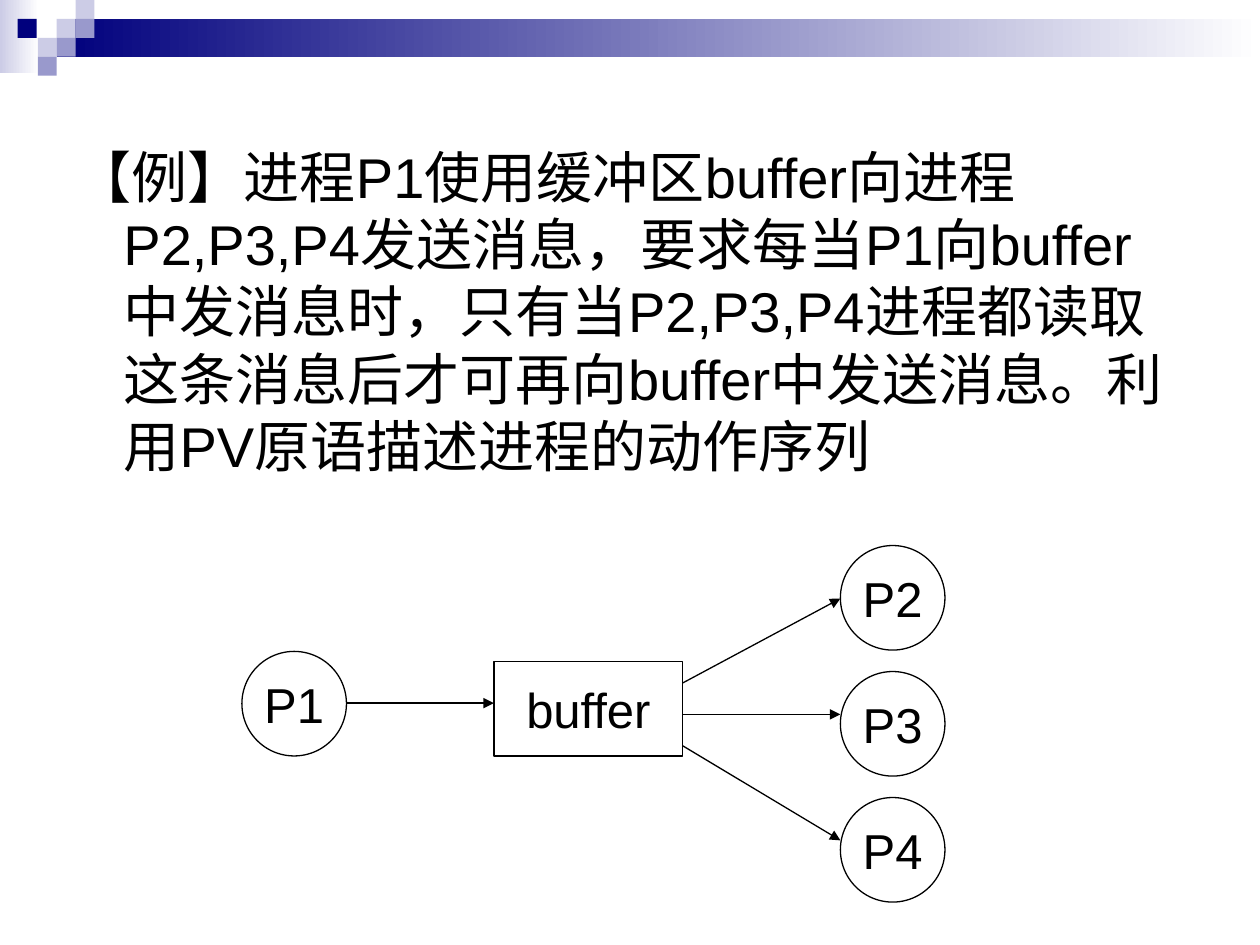
from dataclasses import dataclass

from lxml import etree
from pptx import Presentation
from pptx.dml.color import RGBColor
from pptx.enum.shapes import MSO_CONNECTOR, MSO_SHAPE
from pptx.enum.text import MSO_ANCHOR, MSO_AUTO_SIZE, PP_ALIGN
from pptx.oxml.ns import qn
from pptx.util import Inches, Pt

RECT, OVAL = MSO_SHAPE.RECTANGLE, MSO_SHAPE.OVAL
STRAIGHT = MSO_CONNECTOR.STRAIGHT
MIDDLE, CENTER = MSO_ANCHOR.MIDDLE, PP_ALIGN.CENTER
NO_AUTOFIT = MSO_AUTO_SIZE.NONE

COLORS = {
    "navy": "00007D",
    "violet": "9999CC",
    "lavender": "CCCCE6",
    "white": "FFFFFF",
    "black": "000000",
}
FONT = "Arial"
TILE = 0.15
CIRCLE = 0.83
EXERCISE = (
    "【例】进程P1使用缓冲区buffer向进程P2,P3,P4发送消息，要求每当P1向buffer中发消息时，"
    "只有当P2,P3,P4进程都读取这条消息后才可再向buffer中发送消息。利用PV原语描述进程的动作序列"
)


@dataclass(frozen=True)
class Band:
    """A decorative rectangle; fades to white on the right if asked."""
    left: float
    top: float
    width: float
    height: float
    color: str
    fades: bool = False


@dataclass(frozen=True)
class Node:
    label: str
    left: float
    top: float
    width: float = CIRCLE
    height: float = CIRCLE
    kind: MSO_SHAPE = OVAL


@dataclass(frozen=True)
class Arrow:
    x1: float
    y1: float
    x2: float
    y2: float


def tile(left: float, top: float, color: str) -> Band:
    return Band(left, top, TILE, TILE, color)


BANDS = [
    Band(0, 0, 0.31, 0.58, "lavender", fades=True),
    Band(0.45, 0.15, 9.55, 0.3, "navy", fades=True),
    tile(0.45, 0.15, "lavender"),
    tile(0.6, 0, "lavender"),
    tile(0.6, 0.15, "violet"),
    tile(0.3, 0.3, "lavender"),
    tile(0.14, 0.15, "navy"),
    tile(0.45, 0.3, "violet"),
    tile(0.3, 0.45, "violet"),
]
READERS_LEFT = 6.67
BUFFER = Node("buffer", 3.92, 5.25, 1.5, 0.75, RECT)
BUFFER_RIGHT = BUFFER.left + BUFFER.width
SENDER = Node("P1", 1.92, 5.17)
READERS = [Node(f"P{i + 2}", READERS_LEFT, 4.33 + i) for i in range(3)]
ARROWS = [Arrow(SENDER.left + CIRCLE, 5.58, BUFFER.left, 5.58)] + [
    Arrow(BUFFER_RIGHT, start, READERS_LEFT, end)
    for start, end in [(5.42, 4.75), (5.67, 5.67), (5.92, 6.67)]
]


def rgb(name: str) -> RGBColor:
    return RGBColor.from_string(COLORS[name])


def add_box(slide, kind: MSO_SHAPE, item: Band | Node):
    shape = slide.shapes.add_shape(
        kind, Inches(item.left), Inches(item.top), Inches(item.width), Inches(item.height)
    )
    shape.shadow.inherit = False
    return shape


def format_text(paragraph, size: int) -> None:
    for run in paragraph.runs:
        run.font.size = Pt(size)
        run.font.name = FONT
        run.font.color.rgb = rgb("black")


def add_band(slide, band: Band) -> None:
    shape = add_box(slide, RECT, band)
    shape.line.fill.background()
    if not band.fades:
        shape.fill.solid()
        shape.fill.fore_color.rgb = rgb(band.color)
        return
    shape.fill.gradient()
    shape.fill.gradient_angle = 0
    for stop, position, color in zip(shape.fill.gradient_stops, (0, 1), (band.color, "white")):
        stop.position = position
        stop.color.rgb = rgb(color)


def add_node(slide, node: Node) -> None:
    shape = add_box(slide, node.kind, node)
    shape.fill.background()
    shape.line.color.rgb = rgb("black")
    shape.line.width = Pt(0.75)
    frame = shape.text_frame
    frame.text = node.label
    frame.word_wrap = False
    frame.vertical_anchor = MIDDLE
    frame.paragraphs[0].alignment = CENTER
    format_text(frame.paragraphs[0], 28)


def add_arrow(slide, arrow: Arrow) -> None:
    connector = slide.shapes.add_connector(
        STRAIGHT, Inches(arrow.x1), Inches(arrow.y1), Inches(arrow.x2), Inches(arrow.y2)
    )
    connector.line.color.rgb = rgb("black")
    connector.line.width = Pt(0.75)
    etree.SubElement(connector.line._get_or_add_ln(), qn("a:tailEnd"), type="triangle")
    etree.SubElement(connector._element.spPr, qn("a:effectLst"))


def fill_body(body) -> None:
    """Set the exercise text with a hanging indent and no bullet."""
    body.left, body.top = Inches(0.5), Inches(1.08)
    body.width, body.height = Inches(9), Inches(5.33)
    frame = body.text_frame
    frame.text = EXERCISE
    frame.auto_size = NO_AUTOFIT
    paragraph = frame.paragraphs[0]
    paragraph.space_before = Pt(8)
    properties = paragraph._p.get_or_add_pPr()
    properties.set("marL", str(Inches(0.38)))
    properties.set("indent", str(Inches(-0.38)))
    etree.SubElement(properties, qn("a:buNone"))
    format_text(paragraph, 32)


def main() -> None:
    deck = Presentation()
    deck.slide_width, deck.slide_height = Inches(10), Inches(7.5)
    slide = deck.slides.add_slide(deck.slide_layouts[1])
    title = slide.shapes.title
    title._element.getparent().remove(title._element)
    fill_body(slide.placeholders[1])
    for band in BANDS:
        add_band(slide, band)
    for node in [SENDER, BUFFER, *READERS]:
        add_node(slide, node)
    for arrow in ARROWS:
        add_arrow(slide, arrow)
    deck.save("out.pptx")


if __name__ == "__main__":
    main()
